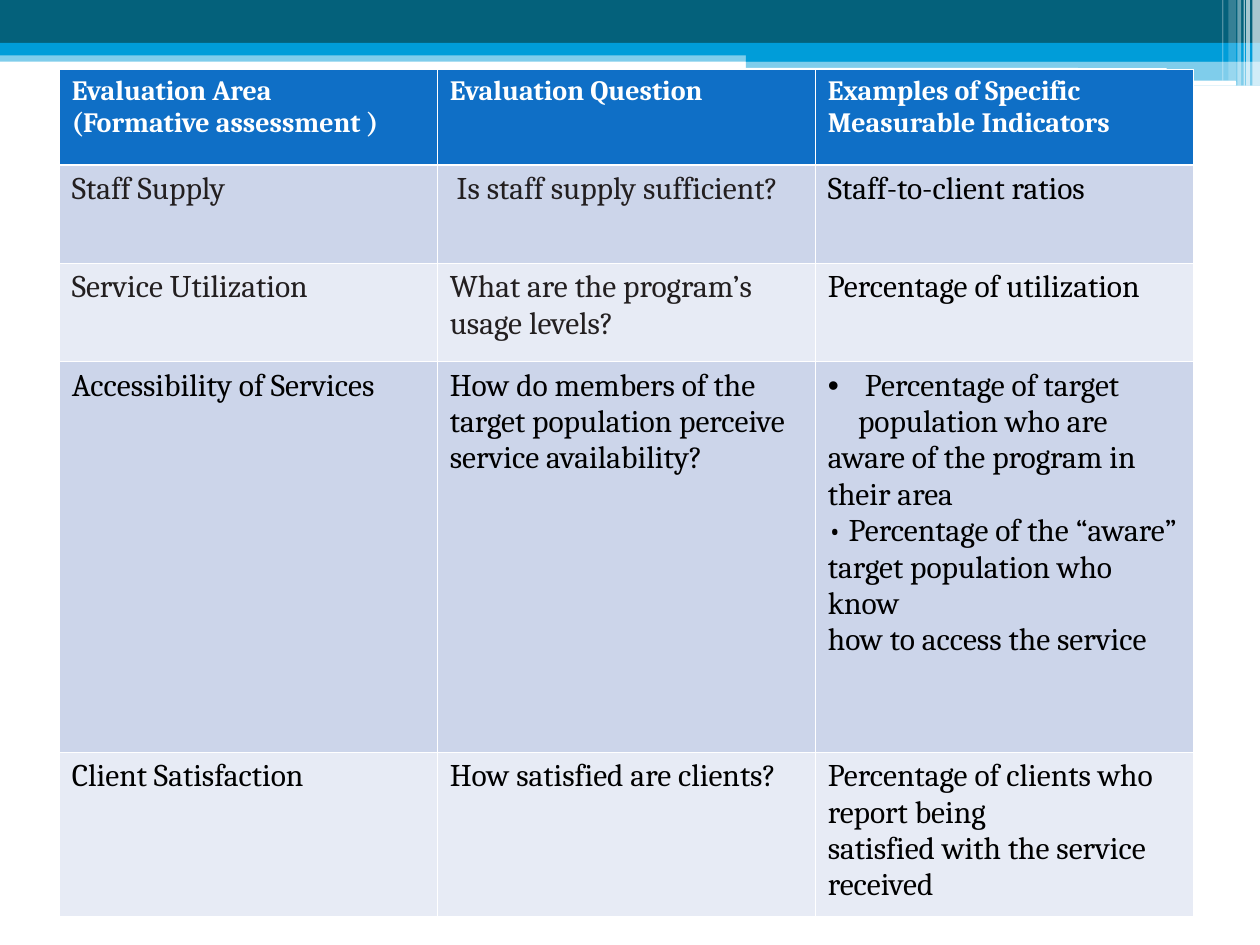
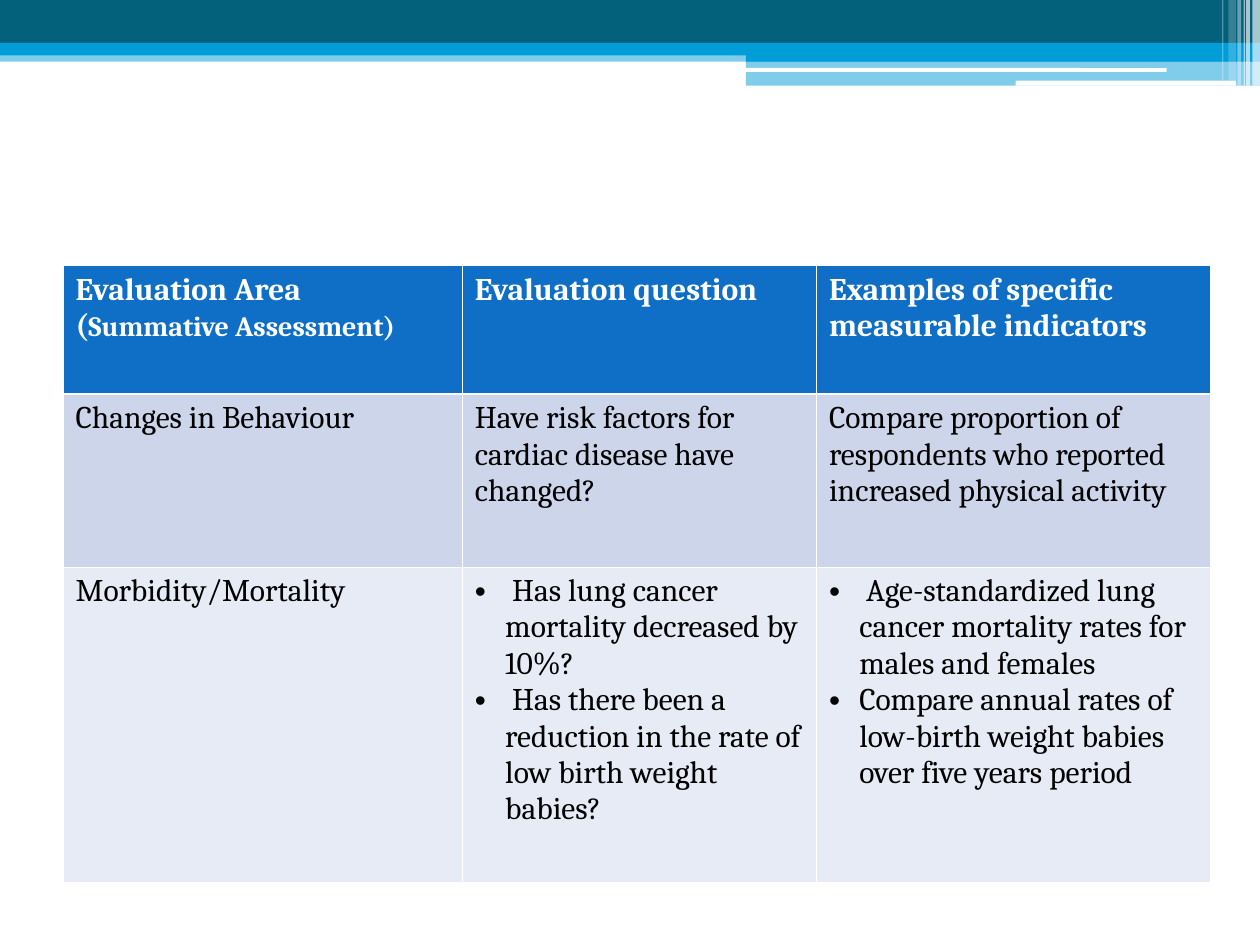
from collections import namedtuple

from lxml import etree
from pptx import Presentation
from pptx.dml.color import RGBColor
from pptx.enum import shapes
from pptx.oxml import ns
from pptx.util import Inches, Pt

FONT = "Cambria"
TEAL, SKY, WHITE, BLACK, INK = "04617B", "009DD9", "FFFFFF", "000000", "231F20"
HEADER_FILL = "0F6FC6"
ROW_FILLS = ["CCD5EA", "E7EBF5"]
THIN, THICK = 0.45, 1.47
HANG = 0.24

Para = namedtuple("Para", "runs bullet color", defaults=(False, None))


def inked(words):
    return [Para([words], color=INK)]


def bullets(*items):
    return [Para([item], bullet=True) for item in items]


def lines(*items):
    return [Para([item]) for item in items]


RECT, ROUND = shapes.MSO_SHAPE.RECTANGLE, shapes.MSO_SHAPE.ROUNDED_RECTANGLE

BANDS = [
    (RECT, (0, 0.4, 10, 0.09), SKY, 50),
    (RECT, (0, 0, 10, 0.34), TEAL, 100),
    (RECT, (0, 0.34, 10, 0.1), SKY, 100),
    (RECT, (5.92, 0.39, 4.08, 0.1), SKY, 100),
    (RECT, (5.92, 0.48, 4.08, 0.2), SKY, 50),
    (ROUND, (5.91, 0.54, 3.35, 0.03), WHITE, 100),
    (ROUND, (8.06, 0.64, 1.75, 0.04), WHITE, 100),
]
STRIPES = [
    (9.94, 0.06, 0.68, 65),
    (9.89, 0.03, 0.68, 65),
    (9.87, 0.01, 0.68, 60),
    (9.82, 0.03, 0.68, 40),
    (9.75, 0.06, 0.64, 20),
    (9.7, 0.01, 0.64, 30),
]

EVALUATIONS = [
    {
        "corner": (0.47, 0.55),
        "widths": [3, 3, 3],
        "heights": [0.76, 0.78, 0.78, 3.1, 1.3],
        "header_size": 16,
        "rows": [
            [lines("Evaluation Area", "(Formative assessment )"),
             lines("Evaluation Question"),
             lines("Examples of Specific Measurable Indicators")],
            [inked("Staff Supply"),
             inked(" Is staff supply sufficient?"),
             lines("Staff-to-client ratios")],
            [inked("Service Utilization"),
             inked("What are the program’s usage levels?"),
             lines("Percentage of utilization")],
            [lines("Accessibility of Services"),
             lines("How do members of the target population perceive service availability?"),
             bullets(" Percentage of target population who are")
             + lines("aware of the program in their area",
                     "• Percentage of the “aware” target population who know",
                     "how to access the service")],
            [lines("Client Satisfaction"),
             lines("How satisfied are clients?"),
             lines("Percentage of clients who report being",
                   "satisfied with the service received")],
        ],
    },
    {
        "corner": (0.5, 2.11),
        "widths": [3.17, 2.81, 3.13],
        "heights": [1.02, 1.37, 2.5],
        "header_size": 18,
        "rows": [
            [lines("Evaluation Area") + [Para(["(", ("Summative Assessment)", 16)])],
             lines("Evaluation question"),
             lines("Examples of specific measurable indicators")],
            [lines("Changes in Behaviour"),
             lines("Have risk factors for cardiac disease have changed?"),
             lines("Compare proportion of respondents who reported increased physical activity")],
            [lines("Morbidity/Mortality"),
             bullets(" Has lung cancer mortality decreased by 10%?",
                     " Has there been a reduction in the rate of low birth weight babies?"),
             bullets(" Age-standardized lung cancer mortality rates for males and females",
                     "Compare annual rates of low-birth weight babies over five years period")],
        ],
    },
]


def rgb(hex_color):
    return RGBColor.from_string(hex_color)


def add_child(parent, tag, **attributes):
    return etree.SubElement(parent, ns.qn(tag), {k: str(v) for k, v in attributes.items()})


def draw_band(slide, outline, box, color, opacity):
    band = slide.shapes.add_shape(outline, *map(Inches, box))
    band.shadow.inherit = False
    band.line.fill.background()
    band.fill.solid()
    band.fill.fore_color.rgb = rgb(color)
    if opacity < 100:
        for tint in band.element.spPr.iter(ns.qn("a:srgbClr")):
            add_child(tint, "a:alpha", val=opacity * 1000)
    return band


def move_bands_to_layout(slide):
    layout = slide.slide_layout
    for placeholder in list(layout.placeholders):
        layout.shapes.element.remove(placeholder.element)
    bands = [draw_band(slide, *band) for band in BANDS]
    bands += [draw_band(slide, RECT, (left, 0, width, height), WHITE, opacity)
              for left, width, height, opacity in STRIPES]
    for band in bands:
        layout.shapes.element.append(band.element)


def set_borders(cell, top, bottom):
    properties = cell._tc.get_or_add_tcPr()
    for side, width in zip("LRTB", (THIN, THIN, top, bottom)):
        edge = add_child(properties, f"a:ln{side}", w=Pt(width))
        add_child(add_child(edge, "a:solidFill"), "a:srgbClr", val=WHITE)


def set_bullet(paragraph):
    properties = paragraph._p.get_or_add_pPr()
    properties.set("marL", str(Inches(HANG)))
    properties.set("indent", str(-Inches(HANG)))
    add_child(add_child(properties, "a:buClr"), "a:srgbClr", val=BLACK)
    add_child(properties, "a:buFont", typeface="Arial")
    add_child(properties, "a:buChar", char="•")


def write_cell(cell, paras, size, color, bold):
    frame = cell.text_frame
    for i, para in enumerate(paras):
        paragraph = frame.add_paragraph() if i else frame.paragraphs[0]
        if para.bullet:
            set_bullet(paragraph)
        for piece in para.runs:
            words, run_size = (piece, size) if isinstance(piece, str) else piece
            run = paragraph.add_run()
            run.text = words
            run.font.name = FONT
            run.font.size = Pt(run_size)
            run.font.bold = bold
            run.font.color.rgb = rgb(para.color or color)


def add_evaluation(slide, evaluation):
    widths, heights, rows = (evaluation[k] for k in ("widths", "heights", "rows"))
    box = (*evaluation["corner"], sum(widths), sum(heights))
    table = slide.shapes.add_table(len(rows), len(widths), *map(Inches, box)).table
    table.horz_banding = False
    for column, width in zip(table.columns, widths):
        column.width = Inches(width)
    for r, (row, height) in enumerate(zip(rows, heights)):
        table.rows[r].height = Inches(height)
        header = r == 0
        for c, paras in enumerate(row):
            cell = table.cell(r, c)
            set_borders(cell, THICK if r == 1 else THIN, THICK if header else THIN)
            cell.fill.solid()
            cell.fill.fore_color.rgb = rgb(HEADER_FILL if header else ROW_FILLS[(r - 1) % 2])
            write_cell(cell, paras, evaluation["header_size"] if header else 18,
                       WHITE if header else BLACK, header)


def main():
    deck = Presentation()
    deck.slide_width, deck.slide_height = Inches(10), Inches(7.5)
    blank = deck.slide_layouts[6]
    for i, evaluation in enumerate(EVALUATIONS):
        slide = deck.slides.add_slide(blank)
        if i == 0:
            move_bands_to_layout(slide)
        add_evaluation(slide, evaluation)
    deck.save("out.pptx")


if __name__ == "__main__":
    main()
